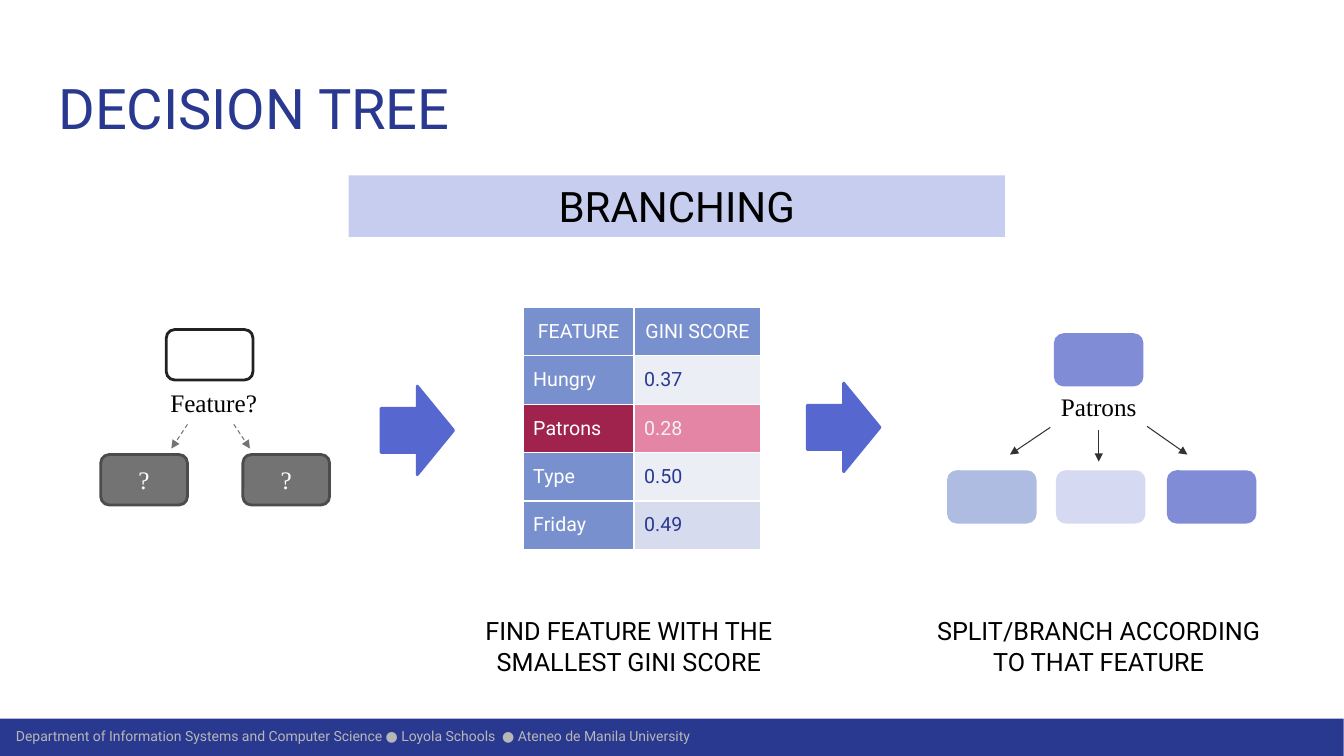
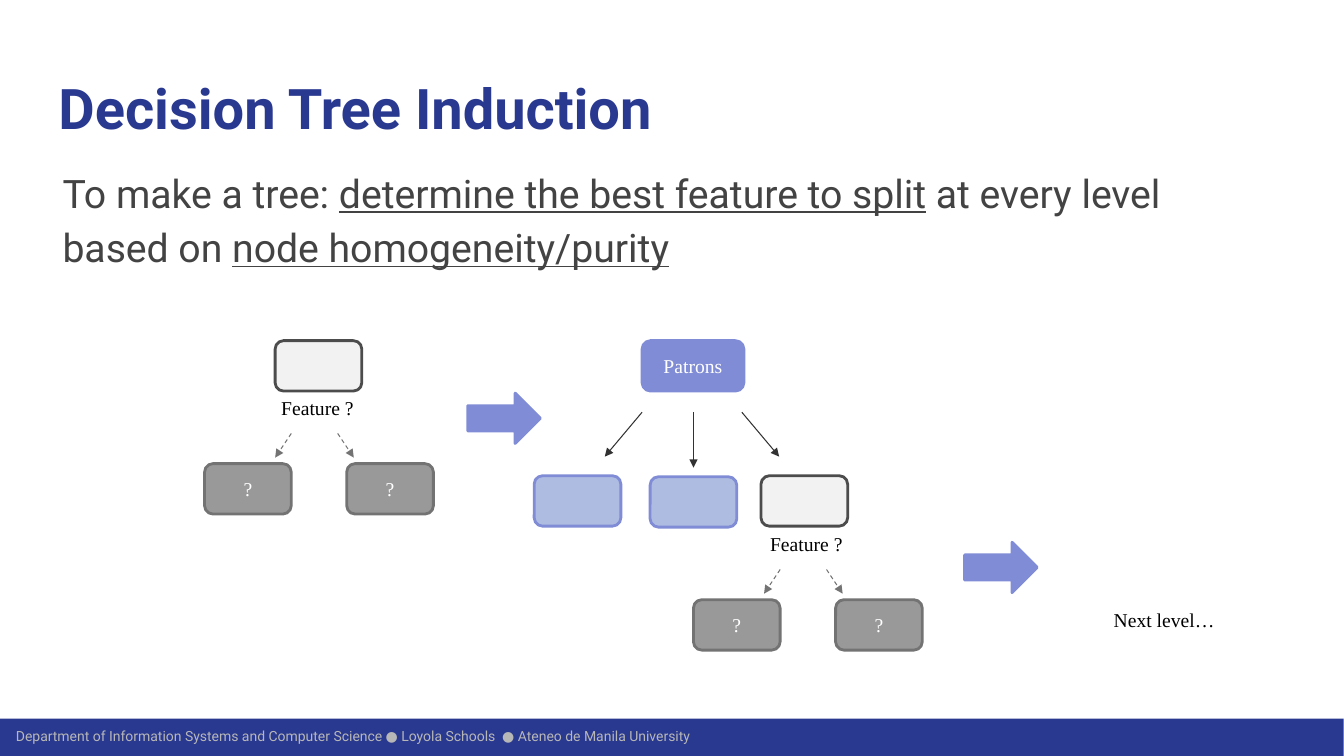
import pptx
import pptx.util
import pptx.dml.color
import pptx.enum.dml
import pptx.enum.shapes
import pptx.enum.text
import pptx.oxml
import pptx.oxml.ns

SHAPE = pptx.enum.shapes.MSO_SHAPE
ALIGN = pptx.enum.text.PP_ALIGN
ANCHOR = pptx.enum.text.MSO_ANCHOR
qn = pptx.oxml.ns.qn
PX = 9144  # EMU per px, 100 px to the inch

# Shared look
SANS, SERIF = "Roboto", "Times New Roman"
NAVY, WHITE, BLACK = "2A3990", "FFFFFF", "000000"
PERIWINKLE, ROYAL, SKY, DARK = "808CD5", "5668CF", "AEBCE1", "323232"
GRAY, CHARCOAL = "737373", "4C4C4C"
TITLE_BOX = (45, 60, 1242, 89)
FOOTER = ("Department of Information Systems and Computer Science ● "
          "Loyola Schools\u00a0 ● Ateneo de Manila University")
NODE = (86, 50)
LEAF_PITCH = 141

# Slide 1 content
SCORES = [
    ("FEATURE", "GINI SCORE", "7890CD", "7890CD", WHITE),
    ("Hungry", "0.37", "7890CD", "ECEEF6", NAVY),
    ("Patrons", "0.28", "A0234E", "E485A5", "F2F2F2"),
    ("Type", "0.50", "7890CD", "ECEEF6", NAVY),
    ("Friday", "0.49", "7890CD", "D6DBED", NAVY),
]
SCORE_COLUMNS, SCORE_ROW = (110, 126), 48
CAPTIONS = [
    ("FIND FEATURE WITH THE SMALLEST GINI SCORE", 436),
    ("SPLIT/BRANCH ACCORDING TO THAT FEATURE", 902),
]
STEP_ARROWS = [(378, 383), (801, 380)]
BRANCH_NODES = [(1047, 332, PERIWINKLE), (941, 468, SKY),
                (1049, 468, "D5D9F1"), (1159, 468, PERIWINKLE)]
BRANCH_LINES = [((1138, 423), (1178, 451)), ((1090, 427), (1090, 458)),
                ((1042, 424), (1002, 451))]

# Slide 2 content: (text, underlined)
INTRO = [("To make a tree: ", False),
         ("determine the best feature to split", True),
         (" at every level based on ", False),
         ("node homogeneity/purity", True)]
LEVEL_ARROWS = [(464, 390), (957, 538)]
LEVEL_NODES = [(530, 472), (645, 473)]
LEVEL_LINES = [((637, 409), (600, 453)), ((688, 409), (688, 464)),
               ((736, 409), (773, 453))]
QUESTION_TREES = [((273, 338), (203, 388)), ((755, 472), (688, 523))]


def color(value):
    return pptx.dml.color.RGBColor.from_string(value)


def emu(*lengths):
    return [round(length * PX) for length in lengths]


def apply(target, **values):
    for name, value in values.items():
        setattr(target, name, value)


def add_run(paragraph, text, size, ink, font=SANS, **extras):
    run = paragraph.add_run()
    run.text = text
    apply(run.font, name=font, size=pptx.util.Pt(size), **extras)
    run.font.color.rgb = color(ink)


def set_margins(target, horizontal, vertical):
    across, down = emu(horizontal, vertical)
    apply(target, margin_left=across, margin_right=across,
          margin_top=down, margin_bottom=down)


def add_shape(slide, kind, box, fill, line=None):
    shape = slide.shapes.add_shape(kind, *emu(*box))
    shape.shadow.inherit = False
    shape.fill.solid()
    shape.fill.fore_color.rgb = color(fill)
    if line:
        shape.line.color.rgb = color(line)
        shape.line.width = pptx.util.Pt(2)
    else:
        shape.line.fill.background()
    return shape


def write(shape, text, size, ink, font=SANS, align=ALIGN.CENTER,
          anchor=ANCHOR.TOP):
    apply(shape.text_frame, word_wrap=True, vertical_anchor=anchor)
    paragraph = shape.text_frame.paragraphs[0]
    paragraph.alignment = align
    add_run(paragraph, text, size, ink, font)


def add_text(slide, box, *args, **formats):
    textbox = slide.shapes.add_textbox(*emu(*box))
    write(textbox, *args, **formats)
    return textbox


def add_node(slide, left, top, fill, line, text="", size=14, width=NODE[0]):
    node = add_shape(slide, SHAPE.ROUNDED_RECTANGLE,
                     (left, top, width, NODE[1]), fill, line)
    if text:
        write(node, text, size, WHITE, SERIF, anchor=ANCHOR.MIDDLE)


def add_arrow(slide, start, end, ink=DARK, dashed=False):
    arrow = slide.shapes.add_connector(
        pptx.enum.shapes.MSO_CONNECTOR.STRAIGHT, *emu(*start, *end))
    arrow.line.color.rgb = color(ink)
    arrow.line.width = pptx.util.Pt(0.75)
    if dashed:
        arrow.line.dash_style = pptx.enum.dml.MSO_LINE.DASH
    properties = arrow.element.spPr
    tail = pptx.oxml.parse_xml(
        f'<a:tailEnd {pptx.oxml.ns.nsdecls("a")} type="triangle"/>')
    properties.find(qn("a:ln")).append(tail)
    properties.append(pptx.oxml.parse_xml(
        f'<a:effectLst {pptx.oxml.ns.nsdecls("a")}/>'))


def add_question_tree(slide, root, origin, label, size, root_look, leaf_look):
    """Draw an undecided split; origin is the left leaf's x and the label's y."""
    left, top = origin
    add_node(slide, *root, *root_look)
    add_text(slide, (left + 49, top, 126, 40), label, size, BLACK, SERIF)
    for index in range(2):
        add_node(slide, left + index * LEAF_PITCH, top + 72, *leaf_look, "?", size)
    for start, end in ((86, 70), (132, 148)):
        add_arrow(slide, (left + start, top + 42), (left + end, top + 66),
                  GRAY, dashed=True)


def add_title(slide, text, bold):
    title = slide.shapes.title
    place(title, TITLE_BOX)
    paragraph = title.text_frame.paragraphs[0]
    paragraph.alignment = ALIGN.LEFT
    add_run(paragraph, text, 40, NAVY, bold=bold)


def place(placeholder, box):
    left, top, width, height = emu(*box)
    apply(placeholder, left=left, top=top, width=width, height=height)
    frame = placeholder.text_frame
    apply(frame, word_wrap=True, vertical_anchor=ANCHOR.TOP,
          auto_size=pptx.enum.text.MSO_AUTO_SIZE.NONE)
    set_margins(frame, 13, 13)


def move_footer_to_master(presentation, slide):
    bar = add_shape(slide, SHAPE.RECTANGLE, (0, 713, 1333, 37), NAVY)
    credit = add_text(slide, (6, 718, 1000, 24), FOOTER, 10, "B7B7B7",
                      align=ALIGN.LEFT, anchor=ANCHOR.MIDDLE)
    set_margins(credit.text_frame, 10, 10)
    tree = presentation.slide_master.shapes.element
    for shape in (credit, bar):
        tree.insert(2, shape.element)


def add_score_table(slide, left, top):
    table = slide.shapes.add_table(
        len(SCORES), len(SCORE_COLUMNS),
        *emu(left, top, sum(SCORE_COLUMNS), SCORE_ROW * len(SCORES))).table
    apply(table, first_row=False, horz_banding=False)
    for column, width in zip(table.columns, SCORE_COLUMNS):
        column.width = emu(width)[0]
    for index, (feature, score, feature_fill, score_fill, ink) in enumerate(SCORES):
        table.rows[index].height = emu(SCORE_ROW)[0]
        looks = [(feature, feature_fill, WHITE), (score, score_fill, ink)]
        for cell, (text, fill, text_ink) in zip(table.rows[index].cells, looks):
            cell.fill.solid()
            cell.fill.fore_color.rgb = color(fill)
            cell.vertical_anchor = ANCHOR.MIDDLE
            set_margins(cell, 10, 5)
            paragraph = cell.text_frame.paragraphs[0]
            paragraph.alignment = ALIGN.LEFT if index else ALIGN.CENTER
            add_run(paragraph, text, 14, text_ink)
            add_borders(cell)


def add_borders(cell):
    properties = cell._tc.get_or_add_tcPr()
    for position, side in enumerate(("lnL", "lnR", "lnT", "lnB")):
        properties.insert(position, pptx.oxml.parse_xml(
            f'<a:{side} {pptx.oxml.ns.nsdecls("a")} w="12700"><a:solidFill>'
            f'<a:srgbClr val="{WHITE}"/></a:solidFill></a:{side}>'))


def build_branching(slide):
    add_title(slide, "DECISION TREE", False)
    banner = add_shape(slide, SHAPE.RECTANGLE, (346, 174, 651, 61), "C7CDEF")
    write(banner, "BRANCHING", 30, BLACK)
    # Undecided split, scores, then the chosen branch
    add_question_tree(slide, (165, 327), (100, 379), "Feature?", 18,
                      (WHITE, "222222"), (GRAY, CHARCOAL))
    for left, top in STEP_ARROWS:
        add_shape(slide, SHAPE.RIGHT_ARROW, (left, top, 72, 88), ROYAL, ROYAL)
    add_score_table(slide, 519, 305)
    for left, top, fill in BRANCH_NODES:
        add_node(slide, left, top, fill, fill)
    add_text(slide, (1027, 383, 126, 40), "Patrons", 18, BLACK, SERIF)
    for start, end in BRANCH_LINES:
        add_arrow(slide, start, end)
    for text, left in CAPTIONS:
        add_text(slide, (left, 606, 376, 71), text, 18, BLACK)


def build_induction(slide):
    add_title(slide, "Decision Tree Induction", True)
    # Introduction without a bullet
    body = slide.placeholders[1]
    place(body, (45, 148, 1227, 144))
    paragraph = body.text_frame.paragraphs[0]
    properties = paragraph._p.get_or_add_pPr()
    properties.set("marL", str(4 * PX))
    properties.set("indent", "0")
    properties.append(pptx.oxml.parse_xml(
        f'<a:buNone {pptx.oxml.ns.nsdecls("a")}/>'))
    apply(paragraph, line_spacing=1.15, space_before=pptx.util.Pt(0))
    for text, underlined in INTRO:
        add_run(paragraph, text, 28, "434343", underline=underlined)
    # Growing tree
    for root, origin in QUESTION_TREES:
        add_question_tree(slide, root, origin, "Feature ?", 14,
                          ("F2F2F2", CHARCOAL), ("999999", GRAY))
    add_node(slide, 637, 338, PERIWINKLE, PERIWINKLE, "Patrons", width=101)
    for left, top in LEVEL_NODES:
        add_node(slide, left, top, SKY, PERIWINKLE)
    for start, end in LEVEL_LINES:
        add_arrow(slide, start, end)
    for left, top in LEVEL_ARROWS:
        add_shape(slide, SHAPE.RIGHT_ARROW, (left, top, 72, 50),
                  PERIWINKLE, PERIWINKLE)
    add_text(slide, (1092, 598, 126, 34), "Next level…", 14, BLACK, SERIF)


def main():
    presentation = pptx.Presentation()
    width, height = emu(1333.33, 750)
    apply(presentation, slide_width=width, slide_height=height)
    layouts = presentation.slide_layouts
    branching = presentation.slides.add_slide(layouts.get_by_name("Title Only"))
    move_footer_to_master(presentation, branching)
    build_branching(branching)
    build_induction(presentation.slides.add_slide(
        layouts.get_by_name("Title and Content")))
    presentation.save("out.pptx")


if __name__ == "__main__":
    main()
